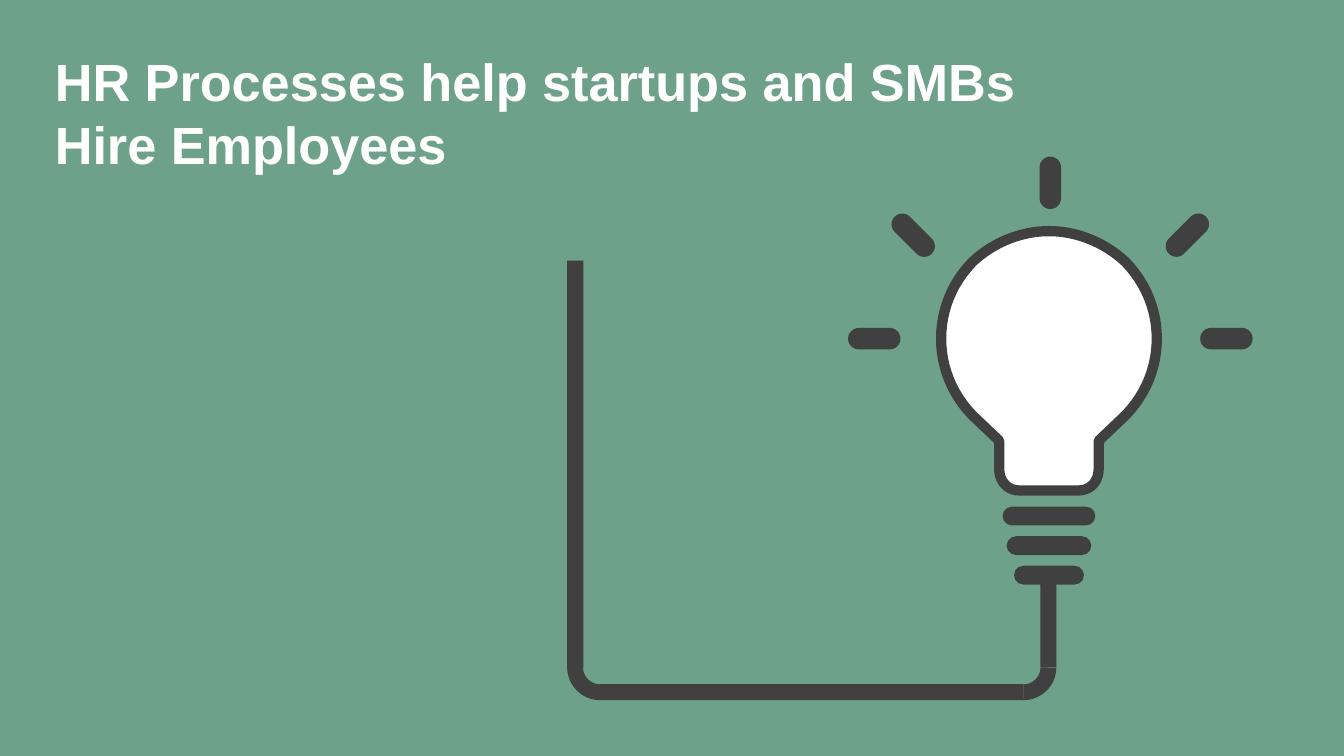
from dataclasses import dataclass

from lxml import etree
from pptx import Presentation
from pptx.dml.color import RGBColor
from pptx.enum.shapes import MSO_SHAPE
from pptx.util import Inches, Pt


@dataclass(frozen=True)
class Theme:
    """Colours, font and sizes of the slide."""
    ground: RGBColor = RGBColor.from_string("6DA18A")
    dark: RGBColor = RGBColor.from_string("404040")
    light: RGBColor = RGBColor.from_string("FFFFFF")
    font: str = "Arial"
    title_size: int = 28
    outline: float = 5.5


THEME = Theme()


def add_text(page, box, text, *, size, color, bold=False):
    """Add a wrapped text box holding one formatted paragraph."""
    frame = page.shapes.add_textbox(*map(Inches, box)).text_frame
    frame.word_wrap = True
    span = frame.paragraphs[0].add_run()
    span.text = text
    span.font.name, span.font.size, span.font.bold = THEME.font, Pt(size), bold
    span.font.color.rgb = color


def add_solid(page, kind, box, *, adjustments=(), rotation=0):
    """Add a dark preset shape without outline or shadow."""
    shape = page.shapes.add_shape(kind, *map(Inches, box))
    for index, value in enumerate(adjustments):
        shape.adjustments[index] = value
    shape.rotation = rotation
    shape.shadow.inherit = False
    shape.fill.solid()
    shape.fill.fore_color.rgb = THEME.dark
    shape.line.fill.background()


def add_pill(page, center_x, center_y, width, height, rotation=0):
    """Add a fully rounded bar around a centre point."""
    box = (center_x - width / 2, center_y - height / 2, width, height)
    add_solid(page, MSO_SHAPE.ROUNDED_RECTANGLE, box,
              adjustments=[0.5], rotation=rotation)


def add_wire(page, box, thickness=0.12, bend=0.49, rise=0.63):
    """Draw the cable as a U with a tall left side and a short right side."""
    left, top, width, height = box
    right, bottom = left + width, top + height
    corner_top = bottom - bend
    side = corner_top + bend / 2
    bars = [
        (left, top, thickness, side - top),
        (left + bend / 2, bottom - thickness, width - bend, thickness),
        (right - thickness, side - rise, thickness, rise),
    ]
    for bar in bars:
        add_solid(page, MSO_SHAPE.RECTANGLE, bar)
    for corner_left, rotation in [(left, 0), (right - bend, 270)]:
        add_solid(page, MSO_SHAPE.BLOCK_ARC, (corner_left, corner_top, bend, bend),
                  adjustments=[54.32, 108.17, 0.24], rotation=rotation)


def curve(start, first, second, end, steps=24):
    """Return points along a cubic curve, leaving out its start."""
    points = []
    for step in range(1, steps + 1):
        t = step / steps
        weights = ((1 - t) ** 3, 3 * t * (1 - t) ** 2, 3 * t * t * (1 - t), t ** 3)
        points.append(tuple(sum(weight * value for weight, value in zip(weights, axis))
                            for axis in zip(start, first, second, end)))
    return points


def add_glass(page, box):
    """Draw the bulb glass from one half outline and its mirror image."""
    left, top, width, height = box
    middle = left + width / 2
    shoulder, waist, neck = (0.57, 0.23), (0.57, 1.37), 0.37
    half = [(0, 0)]
    half += curve((0, 0), (0.2, 0), (0.41, 0.08), shoulder)
    half += curve(shoulder, (0.88, 0.55), (0.88, 1.05), waist)
    half += [(neck, 1.56), (neck, height - 0.16)]
    half += curve((neck, height - 0.16), (neck, height - 0.07),
                  (0.31, height), (0.22, height), steps=10)
    mirrored = [(-x, y) for x, y in reversed(half[1:])]
    points = [(Inches(middle + x), Inches(top + y)) for x, y in half + mirrored]
    builder = page.shapes.build_freeform(*points[0])
    builder.add_line_segments(points[1:], close=True)
    glass = builder.convert_to_shape()
    glass.shadow.inherit = False
    glass.fill.solid()
    glass.fill.fore_color.rgb = THEME.light
    glass.line.color.rgb = THEME.dark
    glass.line.width = Pt(THEME.outline)
    outline = glass.line.fill._xPr
    etree.SubElement(outline, outline.tag.replace("}ln", "}round"))


def add_bulb(page, box):
    """Draw the light bulb with its screw base and five rays."""
    left, top, width, height = box
    middle = left + width / 2
    add_glass(page, (middle - 0.81, top + 0.56, 1.62, 1.93))
    for index, base_width in enumerate((0.69, 0.63, 0.52)):
        add_pill(page, middle, top + 2.68 + index * 0.22, base_width, 0.14)
    rays = [(-1.31, 1.36, 270), (-1.02, 0.59, 315), (0, 0.2, 0),
            (1.02, 0.59, 45), (1.31, 1.36, 90)]
    for offset, drop, rotation in rays:
        add_pill(page, middle + 0.01 + offset, top + drop, 0.16, 0.39, rotation)


def build():
    """Build and save the one-slide deck."""
    deck = Presentation()
    deck.slide_width = Inches(10)
    deck.slide_height = deck.slide_width * 9 // 16
    page = deck.slides.add_slide(deck.slide_layouts[6])
    page.background.fill.solid()
    page.background.fill.fore_color.rgb = THEME.ground
    add_wire(page, (4.22, 1.94, 3.64, 3.27))
    add_bulb(page, (6.3, 1.16, 3.01, 3.19))
    add_text(page, (0.31, 0.32, 7.43, 1.04),
             "HR Processes help startups and SMBs Hire Employees",
             size=THEME.title_size, color=THEME.light, bold=True)
    deck.save("out.pptx")


if __name__ == "__main__":
    build()
